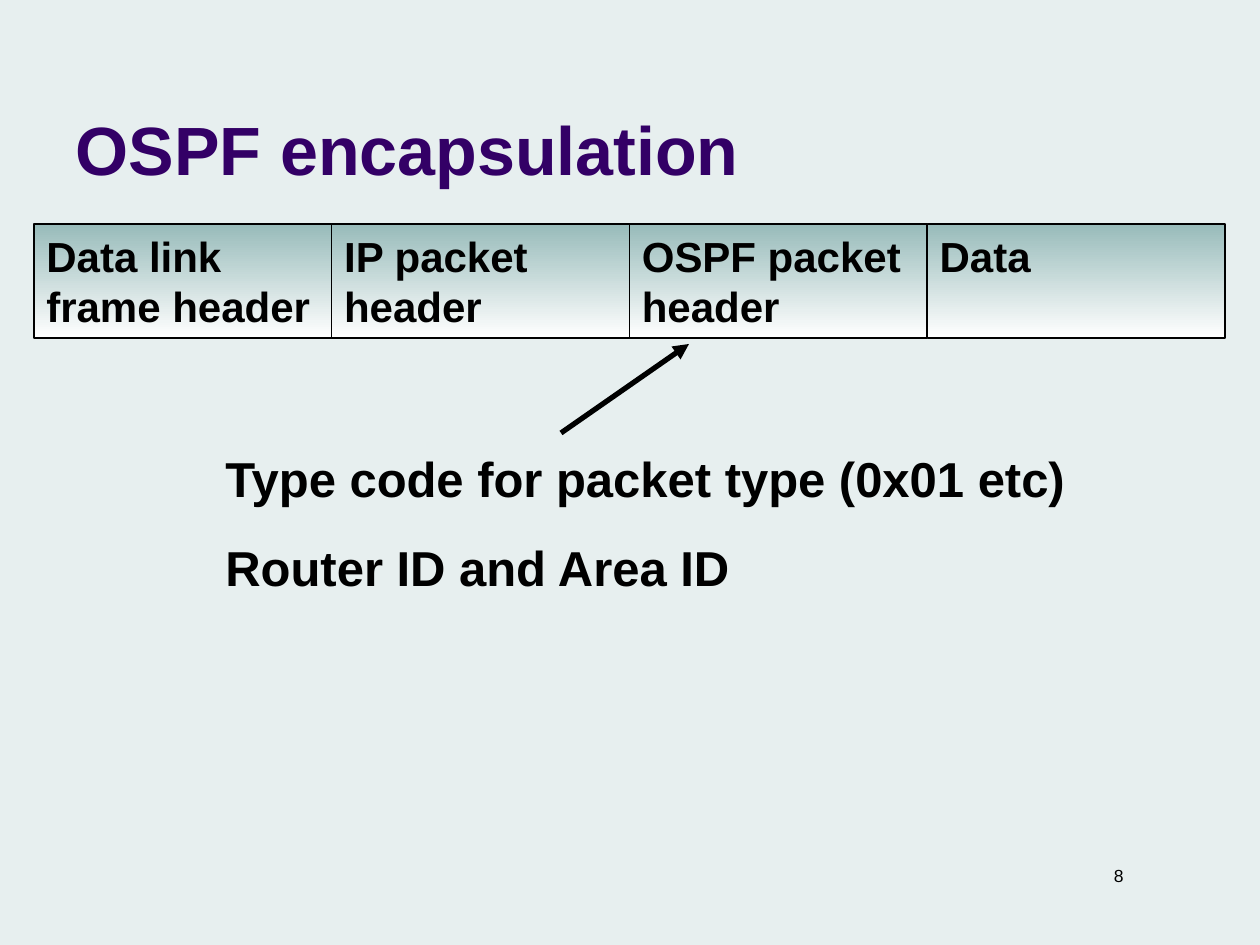
from dataclasses import dataclass

from lxml.etree import SubElement
from pptx import Presentation
from pptx.dml.color import RGBColor
from pptx.enum.shapes import MSO_CONNECTOR, MSO_SHAPE
from pptx.enum.text import MSO_ANCHOR, MSO_AUTO_SIZE, PP_ALIGN
from pptx.oxml.ns import qn
from pptx.util import Emu, Pt

EMU_PER_PX = 914400 / 126


@dataclass(frozen=True)
class Theme:
    font: str = "Arial"
    background: RGBColor = RGBColor(0xE7, 0xEF, 0xEF)
    heading: RGBColor = RGBColor(0x33, 0x00, 0x66)
    ink: RGBColor = RGBColor(0x00, 0x00, 0x00)
    field_top: RGBColor = RGBColor(0x98, 0xBB, 0xBA)
    field_bottom: RGBColor = RGBColor(0xFF, 0xFF, 0xFF)
    heading_size: float = 39
    field_size: float = 24
    note_size: float = 28
    number_size: float = 10
    border: float = 0.75
    pointer: float = 3


THEME = Theme()


def px(length):
    return Emu(round(length * EMU_PER_PX))


def write(frame, text, size, color=THEME.ink, bold=True, align=PP_ALIGN.LEFT,
          anchor=MSO_ANCHOR.TOP, before=0):
    frame.text = text
    frame.word_wrap = True
    frame.auto_size = MSO_AUTO_SIZE.NONE
    frame.vertical_anchor = anchor
    for paragraph in frame.paragraphs:
        paragraph.alignment = align
        paragraph.space_before = Pt(before)
        for run in paragraph.runs:
            run.font.name = THEME.font
            run.font.size = Pt(size)
            run.font.bold = bold
            run.font.color.rgb = color


def add_title(slide, left, top, width, height, text):
    title = slide.shapes.title
    title.left, title.top = px(left), px(top)
    title.width, title.height = px(width), px(height)
    write(title.text_frame, text, THEME.heading_size, THEME.heading,
          anchor=MSO_ANCHOR.BOTTOM)


def add_packet(slide, left, top, width, height, fields):
    packet = slide.shapes.add_group_shape()
    field_width = width / len(fields)
    for index, label in enumerate(fields):
        field = packet.shapes.add_shape(
            MSO_SHAPE.RECTANGLE, px(left + index * field_width), px(top),
            px(field_width), px(height))
        field.shadow.inherit = False
        field.fill.gradient()
        field.fill.gradient_angle = 270
        start, end = field.fill.gradient_stops
        start.color.rgb, start.position = THEME.field_top, 0
        end.color.rgb, end.position = THEME.field_bottom, 1
        field.line.color.rgb = THEME.ink
        field.line.width = Pt(THEME.border)
        write(field.text_frame, label, THEME.field_size, before=15)


def add_text(slide, left, top, width, height, text, size, **style):
    box = slide.shapes.add_textbox(px(left), px(top), px(width), px(height))
    write(box.text_frame, text, size, **style)


def add_pointer(slide, left, top, width, height):
    pointer = slide.shapes.add_connector(
        MSO_CONNECTOR.STRAIGHT, px(left), px(top + height),
        px(left + width), px(top))
    pointer.line.color.rgb = THEME.ink
    pointer.line.width = Pt(THEME.pointer)
    SubElement(pointer.line._get_or_add_ln(), qn("a:tailEnd"), type="triangle")
    SubElement(pointer._element.spPr, qn("a:effectLst"))


def build_encapsulation_slide(presentation):
    slide = presentation.slides.add_slide(presentation.slide_layouts[5])
    slide.background.fill.solid()
    slide.background.fill.fore_color.rgb = THEME.background
    add_text(slide, 878, 859, 258, 34, "8", THEME.number_size,
             bold=False, align=PP_ALIGN.RIGHT)
    add_title(slide, 63, 16, 1040, 179, "OSPF encapsulation")
    add_packet(slide, 34, 224, 1191, 114,
               ["Data link frame header", "IP packet header",
                "OSPF packet header", "Data"])
    add_text(slide, 213, 442, 912, 161,
             "Type code for packet type (0x01 etc)\nRouter ID and Area ID",
             THEME.note_size, before=17.5)
    add_pointer(slide, 561, 344, 128, 89)


def main():
    presentation = Presentation()
    presentation.slide_width, presentation.slide_height = px(1260), px(945)
    build_encapsulation_slide(presentation)
    presentation.save("out.pptx")


if __name__ == "__main__":
    main()
